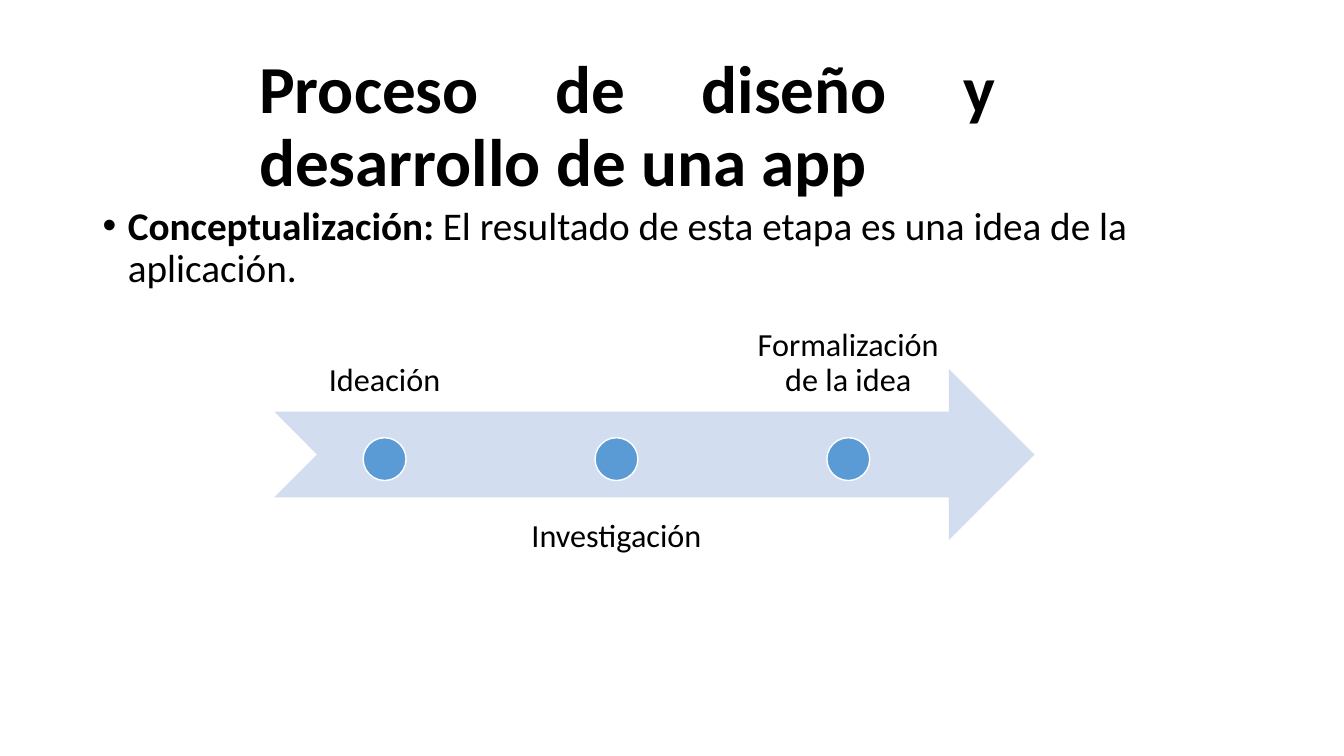
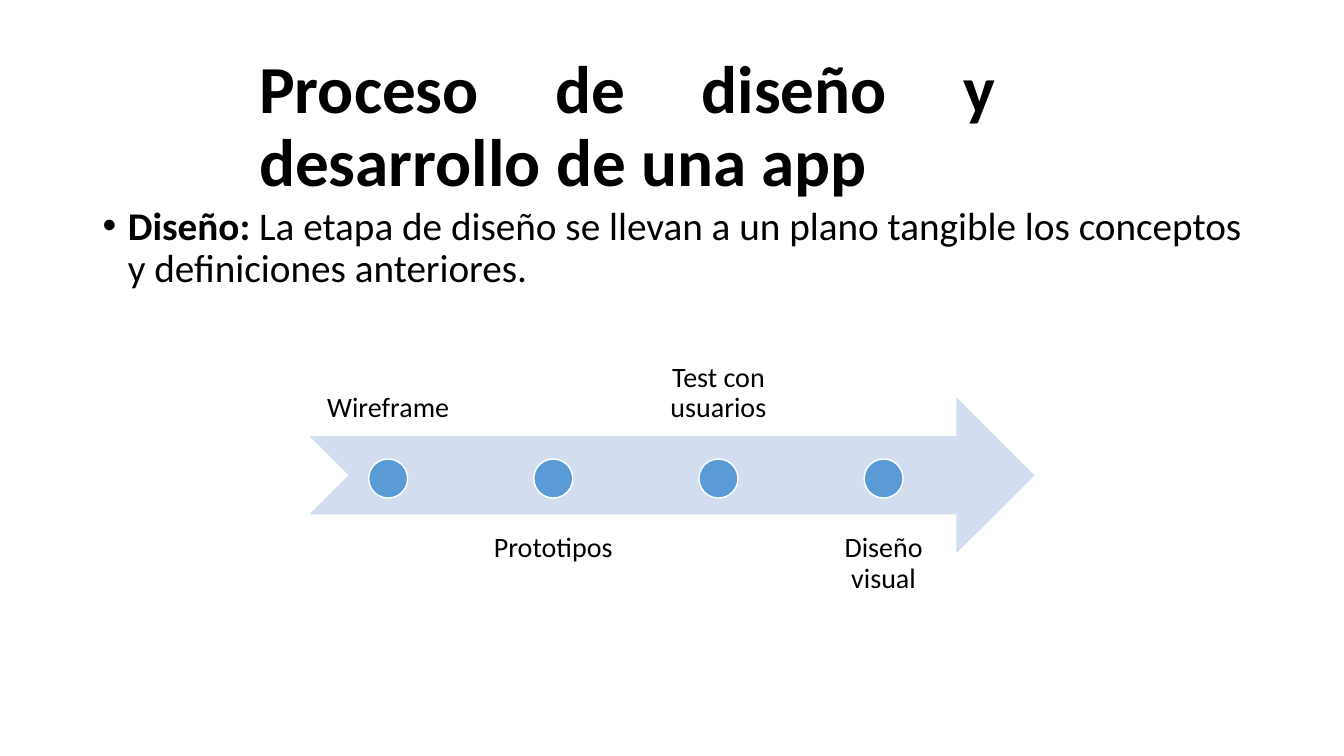
from lxml.etree import SubElement
from pptx import Presentation
from pptx.dml.color import RGBColor
from pptx.enum.shapes import MSO_SHAPE
from pptx.enum.text import MSO_ANCHOR, MSO_AUTO_SIZE, PP_ALIGN
from pptx.oxml.ns import qn
from pptx.util import Pt

PX = 9144
SLIDE_SIZE = (1333, 750)
FONT = "Calibri"
BLACK, WHITE, PALE_BLUE, BLUE = "000000", "FFFFFF", "D2DEEF", "5B9BD5"

TITLE = "Proceso de diseño y desarrollo de una app"
TITLE_PLACE = (247, 55, 751, 145)
BODY_PLACE = (92, 200, 1150, 476)
BODY_INDENT = 25

STAGES = [
    {
        "name": "Conceptualización: ",
        "text": "El resultado de esta etapa es una idea de la aplicación.",
        "steps": ["Ideación", "Investigación", "Formalización de la idea"],
        "arrow": (272, 366, 754, 170),
        "label_top": 243, "label_width": 219, "label_inset": 18, "label_size": 23,
    },
    {
        "name": "Diseño: ",
        "text": "La etapa de diseño se llevan a un plano tangible los conceptos y definiciones anteriores.",
        "steps": ["Wireframe", "Prototipos", "Test con usuarios", "Diseño visual"],
        "arrow": (307, 394, 719, 155),
        "label_top": 281, "label_width": 156, "label_inset": 16, "label_size": 20,
    },
]


def color(value):
    return RGBColor.from_string(value)


def emu(*lengths):
    return [round(length * PX) for length in lengths]


def apply(target, values):
    for name, value in values.items():
        setattr(target, name, value)


def write(para, text, size, bold=False):
    span = para.add_run()
    span.text = text
    apply(span.font, {"name": FONT, "size": Pt(size), "bold": bold})
    span.font.color.rgb = color(BLACK)


def format_frame(box, align, anchor, inset=None):
    frame = box.text_frame
    apply(frame, {"word_wrap": True, "auto_size": MSO_AUTO_SIZE.NONE, "vertical_anchor": anchor})
    if inset is not None:
        margin, = emu(inset)
        apply(frame, {f"margin_{side}": margin for side in ("left", "top", "right", "bottom")})
    para = frame.paragraphs[0]
    apply(para, {"alignment": align, "line_spacing": 0.9})
    return para


def add_figure(page, kind, place, fill, line=None):
    figure = page.shapes.add_shape(kind, *emu(*place))
    figure.shadow.inherit = False
    figure.fill.solid()
    figure.fill.fore_color.rgb = color(fill)
    if line:
        figure.line.color.rgb = color(line)
        figure.line.width = Pt(1)
    else:
        figure.line.fill.background()


def add_title(page):
    title = page.shapes.title
    apply(title, dict(zip(("left", "top", "width", "height"), emu(*TITLE_PLACE))))
    write(format_frame(title, PP_ALIGN.JUSTIFY, MSO_ANCHOR.MIDDLE), TITLE, 48, True)


def add_body(page, stage):
    box = page.shapes.add_textbox(*emu(*BODY_PLACE))
    para = format_frame(box, PP_ALIGN.LEFT, MSO_ANCHOR.TOP)
    para.space_before = Pt(10)
    indent, = emu(BODY_INDENT)
    properties = para._p.get_or_add_pPr()
    properties.set("marL", str(indent))
    properties.set("indent", str(-indent))
    SubElement(properties, qn("a:buFont")).set("typeface", "Arial")
    SubElement(properties, qn("a:buChar")).set("char", "•")
    write(para, stage["name"], 28, True)
    write(para, stage["text"], 28)


def add_timeline(page, stage):
    left, _, _, height = stage["arrow"]
    top, width = stage["label_top"], stage["label_width"]
    dot = height / 4
    add_figure(page, MSO_SHAPE.NOTCHED_RIGHT_ARROW, stage["arrow"], PALE_BLUE)
    for index, step in enumerate(stage["steps"]):
        below = index % 2
        step_left = left + index * width * 1.05
        label_top = top + below * height * 1.5
        label = page.shapes.add_textbox(*emu(step_left, label_top, width, height))
        anchor = MSO_ANCHOR.TOP if below else MSO_ANCHOR.BOTTOM
        para = format_frame(label, PP_ALIGN.CENTER, anchor, stage["label_inset"])
        write(para, step, stage["label_size"])
        dot_place = (step_left + (width - dot) / 2, top + height * 1.125, dot, dot)
        add_figure(page, MSO_SHAPE.OVAL, dot_place, BLUE, WHITE)


def main():
    deck = Presentation()
    deck.slide_width, deck.slide_height = emu(*SLIDE_SIZE)
    for stage in STAGES:
        page = deck.slides.add_slide(deck.slide_layouts.get_by_name("Title Only"))
        add_title(page)
        add_body(page, stage)
        add_timeline(page, stage)
    deck.save("out.pptx")


if __name__ == "__main__":
    main()
